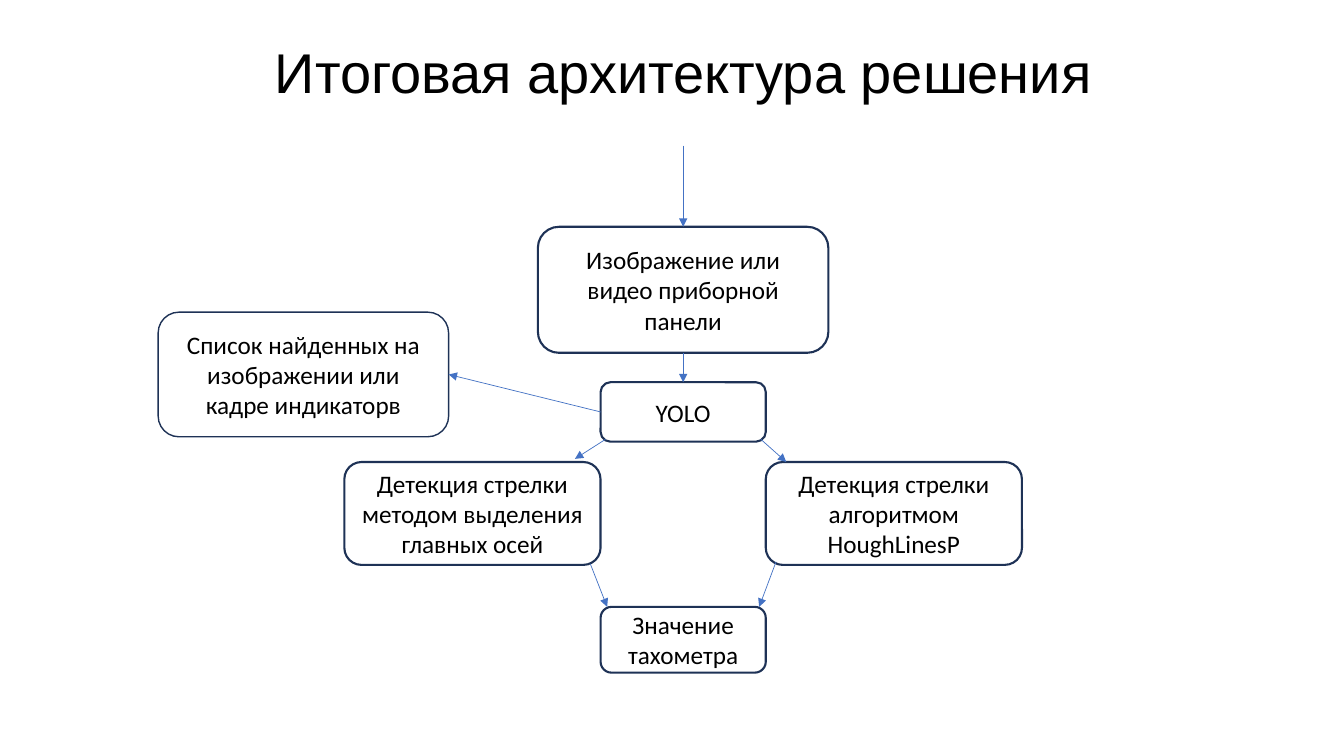
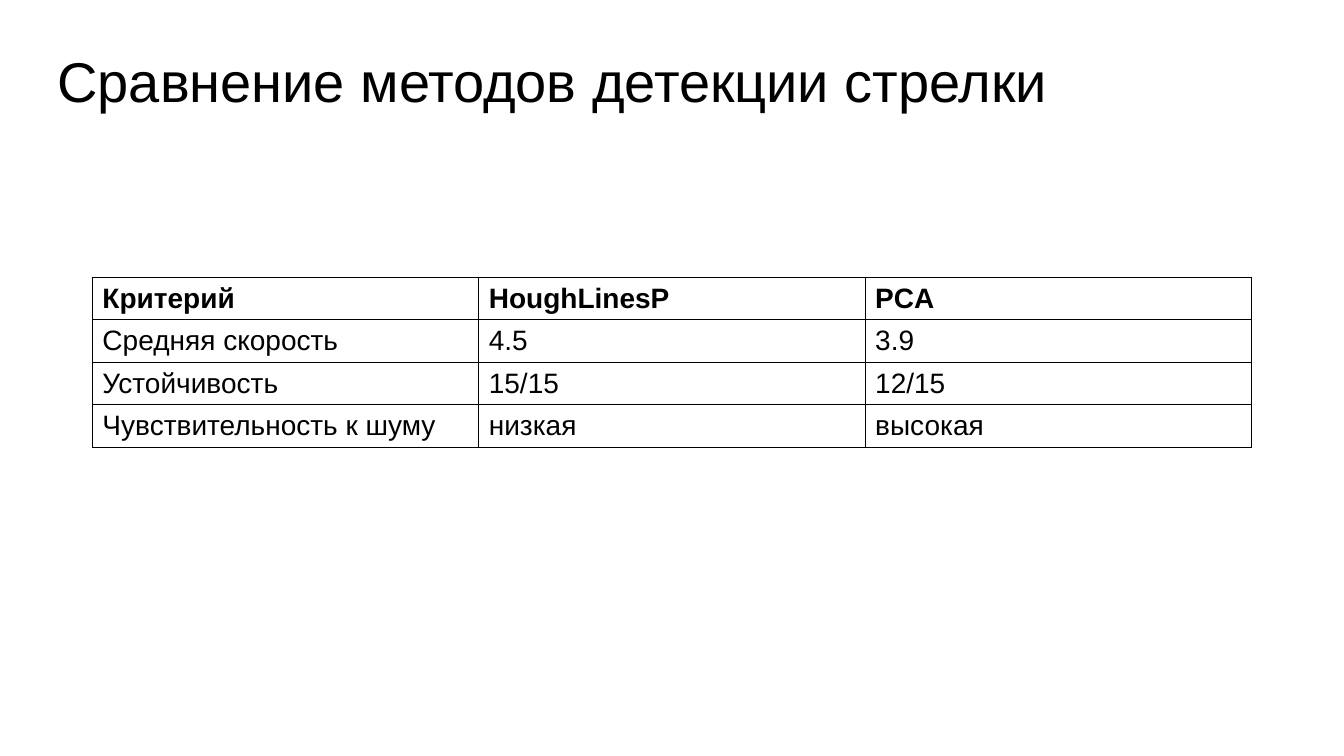
from collections import namedtuple

from lxml import etree
from pptx import Presentation
from pptx.dml.color import RGBColor
from pptx.enum.shapes import MSO_CONNECTOR, MSO_SHAPE
from pptx.enum.text import MSO_ANCHOR, PP_ALIGN
from pptx.oxml.ns import qn
from pptx.util import Pt

BLACK, WHITE, NAVY, BLUE = "000000", "FFFFFF", "1E3256", "4472C4"
HEADING_FONT, DIAGRAM_FONT = "Arial", "Calibri"

Box = namedtuple("Box", "left top width height")


def color(hex_code):
    return RGBColor.from_string(hex_code)


def points(*values):
    return [Pt(value) for value in values]


def style_text(frame, font_name, size, alignment, bold=False):
    frame.word_wrap = True
    for para in frame.paragraphs:
        para.alignment = alignment
        for span in para.runs:
            span.font.name = font_name
            span.font.size = Pt(size)
            span.font.bold = bold
            span.font.color.rgb = color(BLACK)


def add_title(page, box, text, alignment):
    frame = page.shapes.add_textbox(*points(*box)).text_frame
    frame.text = text
    frame.vertical_anchor = MSO_ANCHOR.MIDDLE
    frame.paragraphs[0].line_spacing = 0.9
    style_text(frame, HEADING_FONT, 40, alignment)


def add_node(page, box, text, line_width=1.5):
    node = page.shapes.add_shape(MSO_SHAPE.ROUNDED_RECTANGLE, *points(*box))
    node.shadow.inherit = False
    node.fill.solid()
    node.fill.fore_color.rgb = color(WHITE)
    node.line.color.rgb = color(NAVY)
    node.line.width = Pt(line_width)
    node.text_frame.text = text
    node.text_frame.vertical_anchor = MSO_ANCHOR.MIDDLE
    style_text(node.text_frame, DIAGRAM_FONT, 18, PP_ALIGN.CENTER)


def point_on(box, across, down):
    """Return the point at the given fractions of a box's width and height."""
    return box.left + across * box.width, box.top + down * box.height


def add_arrow(page, start, end):
    arrow = page.shapes.add_connector(MSO_CONNECTOR.STRAIGHT, *points(*start, *end))
    arrow.line.color.rgb = color(BLUE)
    arrow.line.width = Pt(0.5)
    etree.SubElement(arrow.line._get_or_add_ln(), qn("a:tailEnd"), type="triangle")
    etree.SubElement(arrow._element.spPr, qn("a:effectLst"))


def add_architecture(page, area):
    """Draw the flow from the input image to the tachometer value."""
    center = area.left + 375

    def centered(top, width, height):
        return Box(center - width / 2, area.top + top, width, height)

    source = centered(58, 207.5, 90)
    detector = centered(169, 118, 42.5)
    result = centered(329.5, 118, 47)
    method_width, method_height = 183, 73.5
    method_top = area.top + 226
    axes = Box(detector.left - method_width, method_top, method_width, method_height)
    hough = Box(detector.left + detector.width, method_top, method_width, method_height)
    indicators = Box(area.left, area.top + 119, 207.5, 89)

    add_node(page, source, "Изображение или видео приборной панели")
    add_node(page, detector, "YOLO")
    add_node(page, axes, "Детекция стрелки методом выделения главных осей")
    add_node(page, hough, "Детекция стрелки алгоритмом HoughLinesP")
    add_node(page, result, "Значение тахометра")
    add_node(page, indicators, "Список найденных на изображении или кадре индикаторв", 1)

    arrows = [
        ((center, area.top), point_on(source, 0.5, 0)),
        (point_on(source, 0.5, 1), point_on(detector, 0.5, 0)),
        (point_on(detector, 0.03, 0.96), point_on(axes, 0.9, -0.03)),
        (point_on(detector, 0.97, 0.96), point_on(hough, 0.08, 0)),
        (point_on(axes, 0.96, 0.99), point_on(result, 0.04, 0)),
        (point_on(hough, 0.04, 0.97), point_on(result, 0.96, 0)),
        (point_on(detector, 0, 0.5), point_on(indicators, 1, 0.5)),
    ]
    for start, end in arrows:
        add_arrow(page, start, end)


def add_cell_borders(cell):
    properties = cell._tc.get_or_add_tcPr()
    for position, side in enumerate(("a:lnL", "a:lnR", "a:lnT", "a:lnB")):
        border = etree.Element(qn(side), w=str(Pt(1)))
        fill = etree.SubElement(border, qn("a:solidFill"))
        etree.SubElement(fill, qn("a:srgbClr"), val=BLACK)
        properties.insert(position, border)


def add_comparison(page, box, rows):
    frame = page.shapes.add_table(len(rows), len(rows[0]), *points(*box))
    table = frame.table
    table.first_row = table.horz_banding = False
    for row_index, values in enumerate(rows):
        for column_index, value in enumerate(values):
            cell = table.cell(row_index, column_index)
            cell.text = value
            cell.vertical_anchor = MSO_ANCHOR.MIDDLE
            cell.margin_top = cell.margin_bottom = Pt(3.2)
            cell.fill.solid()
            cell.fill.fore_color.rgb = color(WHITE)
            style_text(cell.text_frame, HEADING_FONT, 20, PP_ALIGN.LEFT, row_index == 0)
            add_cell_borders(cell)


def architecture_slide(page):
    add_title(page, Box(134, 18.5, 708, 70), "Итоговая архитектура решения", PP_ALIGN.CENTER)
    add_architecture(page, Box(113, 104, 617, 376.5))


def comparison_slide(page):
    add_title(page, Box(34, 30, 828, 61), "Сравнение методов детекции стрелки", PP_ALIGN.LEFT)
    add_comparison(page, Box(66, 198, 828, 118), [
        ("Критерий", "HoughLinesP", "PCA"),
        ("Средняя скорость", "4.5", "3.9"),
        ("Устойчивость", "15/15", "12/15"),
        ("Чувствительность к шуму", "низкая", "высокая"),
    ])


def main():
    deck = Presentation()
    deck.slide_width, deck.slide_height = points(960, 540)
    blank = deck.slide_layouts[6]
    for build in (architecture_slide, comparison_slide):
        build(deck.slides.add_slide(blank))
    deck.save("out.pptx")


if __name__ == "__main__":
    main()
